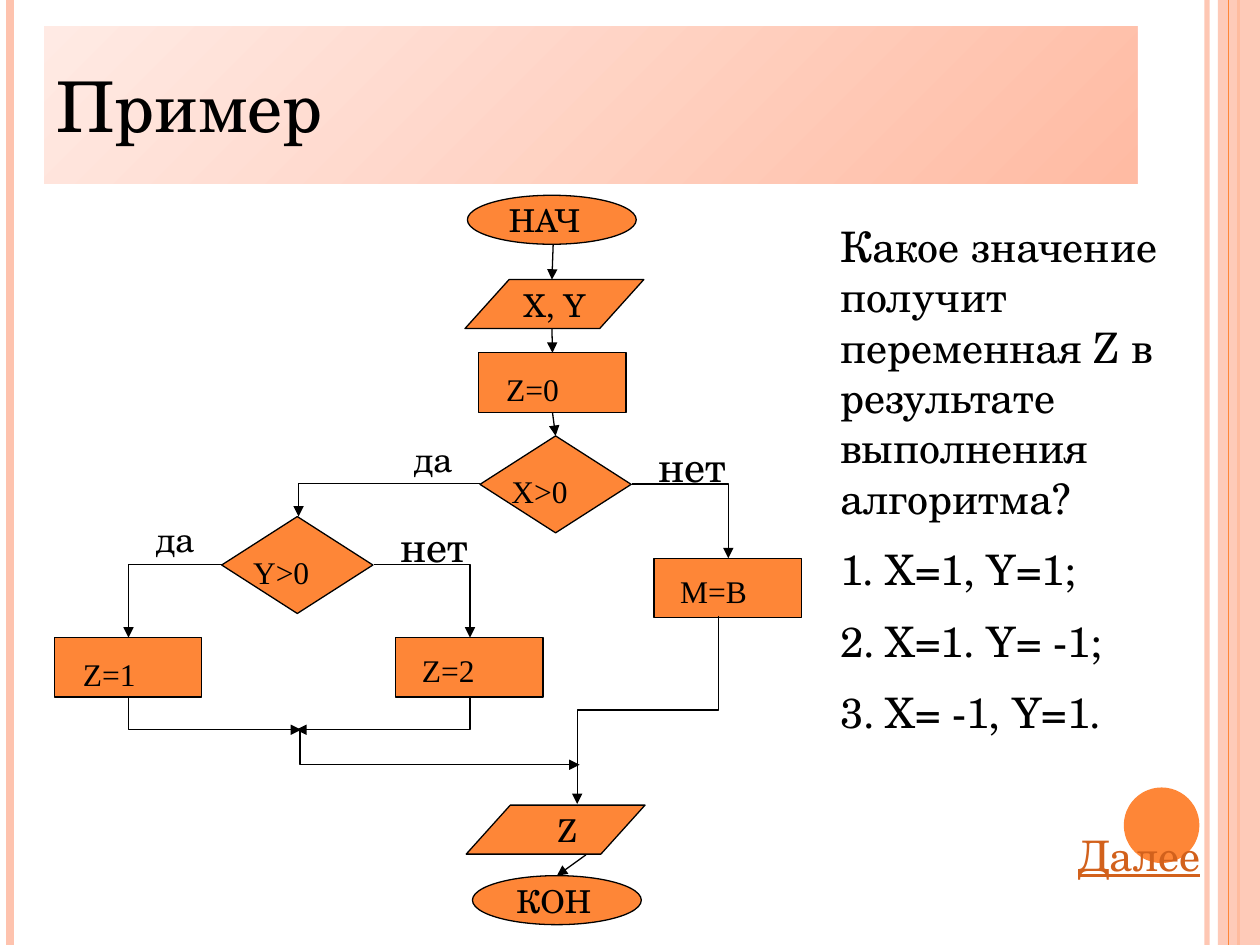
from dataclasses import dataclass

from lxml.etree import SubElement
from pptx import Presentation
from pptx.dml.color import RGBColor
from pptx.enum.shapes import MSO_CONNECTOR as Link, MSO_SHAPE as Shape
from pptx.enum.text import MSO_ANCHOR as Anchor, PP_ALIGN as Align
from pptx.oxml.ns import qn
from pptx.util import Pt


@dataclass(frozen=True)
class Theme:
    accent: str = "FE8637"
    pale: str = "FEC3AE"
    title_light: str = "FFEAE4"
    title_dark: str = "FFBBA3"
    ink: str = "000000"
    link: str = "D2611C"
    serif: str = "TeX Gyre Schola"
    code: str = "Times New Roman"
    title_size: int = 40
    body_size: int = 24
    yes_size: int = 20
    node_size: int = 18
    outline: float = 0.75


THEME = Theme()

# kind: preset shape, width, height, label font
KINDS = {
    "terminal": (Shape.OVAL, 96.5, 28, THEME.serif),
    "data": (Shape.PARALLELOGRAM, 102.2, 28, THEME.serif),
    "process": (Shape.RECTANGLE, 84.2, 34, THEME.code),
    "decision": (Shape.FLOWCHART_DECISION, 86.4, 55.4, THEME.code),
}

# name: kind, left, top, label, label left, label top
NODES = {
    "start": ("terminal", 267.1, 111.6, "НАЧ", 283.7, 111.6),
    "input": ("data", 265.7, 159.8, "Х, Y", 292.2, 159.8),
    "reset": ("process", 273.6, 201.6, "Z=0", 282.2, 208.1),
    "test_x": ("decision", 274.3, 249.1, "X>0", 285.1, 266.4),
    "test_y": ("decision", 126.7, 295.2, "Y>0", 137.5, 312.5),
    "other": ("process", 373.7, 319, "M=B", 381.6, 323.3),
    "one": ("process", 31, 364.3, "Z=1", 40.3, 370.8),
    "two": ("process", 226.1, 364.3, "Z=2", 234, 368.6),
    "output": ("data", 266.4, 460.1, "Z", 311.6, 460.1),
    "finish": ("terminal", 270, 500.4, "КОН", 288, 500.4),
}

# text, left, top, width, size
BRANCHES = [
    ("да", 229.7, 246.2, 41, THEME.yes_size),
    ("нет", 369.4, 248.4, 54.7, THEME.body_size),
    ("да", 82.1, 292.3, 41, THEME.yes_size),
    ("нет", 221.8, 293.8, 54.7, THEME.body_size),
]

# start, end, first direction, bend count, adjustment
ELBOWS = [
    ((274.3, 276.5), (170.6, 295.2), "across", 1, None),
    ((361.4, 276.5), (416.2, 319), "across", 1, None),
    ((126.7, 322.6), (73.4, 364.3), "across", 1, None),
    ((213.8, 322.6), (268.6, 364.3), "across", 1, None),
    ((73.4, 398.2), (172.1, 417), "down", 1, None),
    ((268.6, 398.2), (169.2, 417), "down", 1, None),
    ((410.4, 352.1), (329.8, 459.4), "down", 2, 50000),
    ((170.6, 417), (331.2, 437), "across", 2, 600),
]

# (first direction, runs rightwards): rotation and flip
TURNS = {
    ("across", True): (0, None),
    ("across", False): (180, "flipV"),
    ("down", True): (270, "flipH"),
    ("down", False): (90, None),
}

QUESTION = "Какое значение получит переменная Z в результате выполнения алгоритма?"
CASES = ["Х=1, Y=1;", "X=1. Y= -1;", "X= -1, Y=1."]


def rgb(code):
    return RGBColor.from_string(code)


def set_alpha(shape, percent):
    for color in shape._element.spPr.iter(qn("a:srgbClr")):
        SubElement(color, qn("a:alpha")).set("val", str(percent * 1000))


def style_font(font, size, name=THEME.serif, color=THEME.ink):
    font.size, font.name = Pt(size), name
    font.color.rgb = rgb(color)


def add_shape(page, kind, left, top, width, height, fill, outlined=False):
    shape = page.shapes.add_shape(kind, Pt(left), Pt(top), Pt(width), Pt(height))
    shape.shadow.inherit = False
    shape.fill.solid()
    shape.fill.fore_color.rgb = rgb(fill)
    if outlined:
        shape.line.color.rgb = rgb(THEME.ink)
        shape.line.width = Pt(THEME.outline)
    else:
        shape.line.fill.background()
    return shape


def add_text(page, text, left, top, width, height, size, **style):
    box = page.shapes.add_textbox(Pt(left), Pt(top), Pt(width), Pt(height))
    box.text_frame.word_wrap = True
    para = box.text_frame.paragraphs[0]
    para.text = text
    style_font(para.font, size, **style)
    return box


def add_line(page, start, end, color=THEME.ink, width=THEME.outline,
             arrow=False, kind=Link.STRAIGHT):
    line = page.shapes.add_connector(kind, *map(Pt, (*start, *end)))
    line.line.color.rgb = rgb(color)
    line.line.width = Pt(width)
    if arrow:
        SubElement(line.line._get_or_add_ln(), qn("a:tailEnd")).set("type", "triangle")
    SubElement(line._element.spPr, qn("a:effectLst"))
    return line


def add_elbow(page, start, end, first, bends, adjust):
    """Bent arrow; one that sets off downwards is a turned box about the same centre."""
    (x1, y1), (x2, y2) = start, end
    width, height = abs(x2 - x1), abs(y2 - y1)
    if first == "down":
        width, height = height, width
    left, top = (x1 + x2 - width) / 2, (y1 + y2 - height) / 2
    line = add_line(page, (left, top), (left + width, top + height),
                    arrow=True, kind=Link.ELBOW)
    rotation, flip = TURNS[first, x2 > x1]
    frame = line._element.spPr.find(qn("a:xfrm"))
    frame.set("rot", str(rotation * 60000))
    if flip:
        frame.set(flip, "1")
    geometry = line._element.spPr.find(qn("a:prstGeom"))
    geometry.set("prst", f"bentConnector{bends + 1}")
    if adjust is not None:
        guide = SubElement(geometry.find(qn("a:avLst")), qn("a:gd"))
        guide.set("name", "adj1")
        guide.set("fmla", f"val {adjust}")


def add_backdrop(page):
    for x, color, width, alpha in ((689.8, THEME.pale, 3, 93), (5.8, THEME.pale, 4.5, 100),
                                   (707.8, THEME.accent, 1.5, 100)):
        set_alpha(add_line(page, (x, 0), (x, 540), color, width), alpha)
    set_alpha(add_shape(page, Shape.RECTANGLE, 696, 0, 24, 540, THEME.pale), 87)
    add_line(page, (702, 0), (702, 540), THEME.accent)
    add_shape(page, Shape.OVAL, 642.2, 450, 43.2, 43.2, THEME.accent)


def format_title(page):
    title = page.shapes.title
    title.left, title.top, title.width, title.height = map(Pt, (25.2, 15, 624.6, 90))
    title.fill.gradient()
    title.fill.gradient_angle = 315
    for stop, color in zip(title.fill.gradient_stops, (THEME.title_light, THEME.title_dark)):
        stop.color.rgb = rgb(color)
    title.text_frame.text = "Пример"
    title.text_frame.vertical_anchor = Anchor.MIDDLE
    para = title.text_frame.paragraphs[0]
    para.alignment = Align.LEFT
    style_font(para.font, THEME.title_size)


def add_node(page, kind, left, top, label, label_left, label_top):
    preset, width, height, font = KINDS[kind]
    shape = add_shape(page, preset, left, top, width, height, THEME.accent, outlined=True)
    if kind == "data":
        shape.adjustments[0] = 0.9
    add_text(page, label, label_left, label_top, 68, 28.8, THEME.node_size, name=font)
    return shape


def add_flowchart(page):
    nodes = {name: add_node(page, *node) for name, node in NODES.items()}
    add_line(page, (316.1, 140), (315.4, 159.8), arrow=True)
    for start, source, end, target in (((315.4, 188), None, (315.7, 201.6), "reset"),
                                       ((315.7, 235.6), "reset", (317.5, 249.1), "test_x"),
                                       ((334.8, 488.5), None, (318.2, 500.4), "finish")):
        line = add_line(page, start, end, arrow=True)
        if source:
            line.begin_connect(nodes[source], 2)
        line.end_connect(nodes[target], 0)
    for elbow in ELBOWS:
        add_elbow(page, *elbow)
    for text, left, top, width, size in BRANCHES:
        add_text(page, text, left, top, width, 34, size)


def add_question(page):
    box = add_text(page, QUESTION, 473, 122.4, 215.3, 312.5, THEME.body_size)
    for case in CASES:
        para = box.text_frame.add_paragraph()
        para.text = case
        para.space_before = Pt(12)
        properties = para._p.get_or_add_pPr()
        properties.set("marL", str(Pt(26)))
        properties.set("indent", str(Pt(-26)))
        SubElement(properties, qn("a:buFont")).set("typeface", "+mj-lt")
        SubElement(properties, qn("a:buAutoNum")).set("type", "arabicPeriod")
        style_font(para.font, THEME.body_size)


def main():
    deck = Presentation()
    deck.slide_width, deck.slide_height = Pt(720), Pt(540)
    page = deck.slides.add_slide(deck.slide_layouts[5])
    add_backdrop(page)
    format_title(page)
    add_flowchart(page)
    add_question(page)
    more = add_text(page, "Далее", 609, 470.2, 88.6, 36, THEME.body_size, color=THEME.link)
    more.text_frame.paragraphs[0].font.underline = True
    deck.save("out.pptx")


if __name__ == "__main__":
    main()
